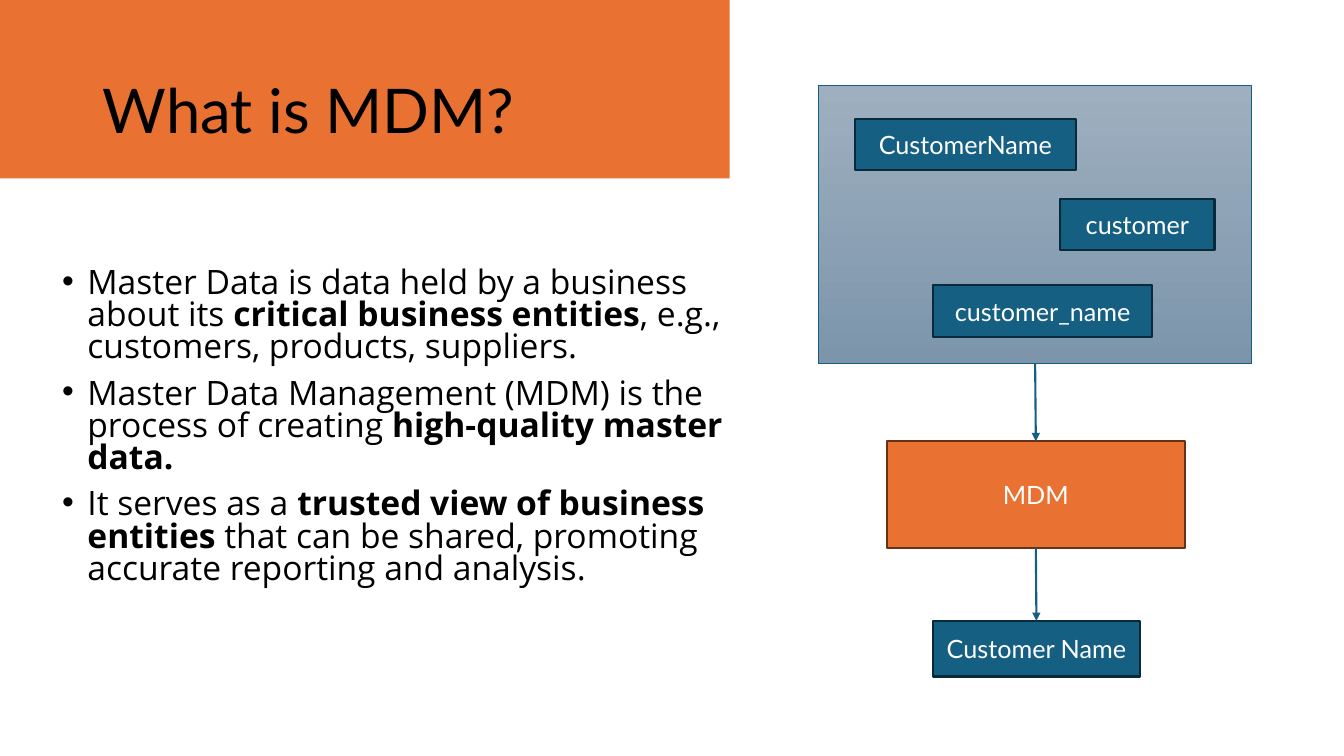
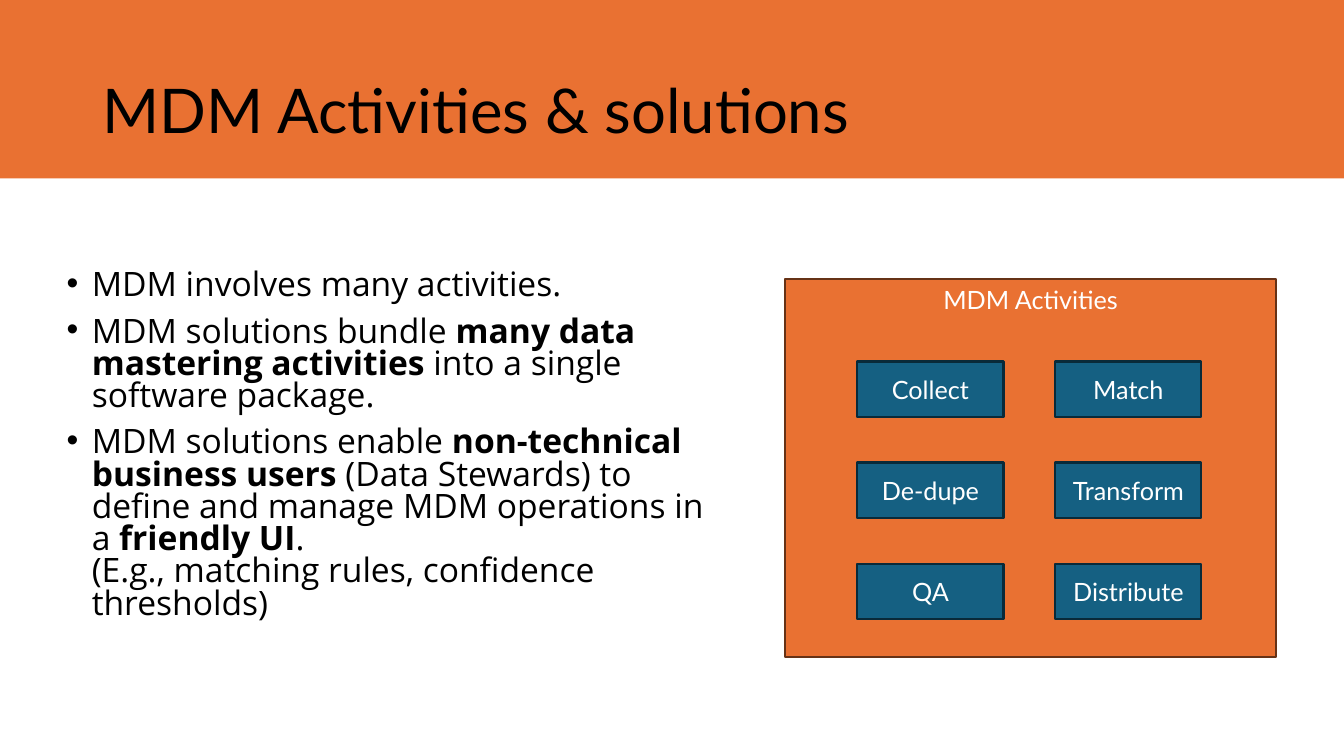
from lxml import etree
from pptx import Presentation
from pptx.dml.color import RGBColor
from pptx.enum.shapes import MSO_CONNECTOR, MSO_SHAPE
from pptx.enum.text import MSO_ANCHOR, PP_ALIGN
from pptx.oxml.ns import qn
from pptx.util import Pt

RECTANGLE = MSO_SHAPE.RECTANGLE
STRAIGHT = MSO_CONNECTOR.STRAIGHT
TOP, MIDDLE = MSO_ANCHOR.TOP, MSO_ANCHOR.MIDDLE
CENTER = PP_ALIGN.CENTER

# Shared style
ORANGE, DARK_ORANGE = "E97132", "663216"
BLUE, DARK_BLUE = "156082", "092A39"
BLACK, WHITE = "000000", "FFFFFF"
PANEL_GRADIENT = ("9EAFBF", "7C95AB")
HEADING_FONT, BODY_FONT = "Lato", "Open Sans"
SLIDE_WIDTH, SLIDE_HEIGHT = 960, 540
BAND_HEIGHT = 127.5
TITLE_BOX = (66.2, 28.8, 828, 104.4)
TOP_SITE, BOTTOM_SITE = 0, 2

# Content: each bullet is a list of (text, bold) runs; "\n" is a line break
DEFINITION = {
    "title": "What is MDM?",
    "band_width": 521.3,
    "body_box": (37.4, 188.2, 512, 332.6),
    "bullets": [
        [("Master Data is data held by a business about its ", False),
         ("critical business entities", True),
         (", e.g., customers, products, suppliers.", False)],
        [("Master Data Management (MDM) is the process of creating ", False),
         ("high-quality master data.", True)],
        [("It serves as a ", False),
         ("trusted view of business entities ", True),
         ("that can be shared, promoting accurate reporting and analysis.", False)],
    ],
}
SOURCE_PANEL = (584.6, 61.2, 309.6, 198.7)
SOURCE_FIELDS = [
    ("CustomerName", (610.6, 85, 158, 36.7)),
    ("customer", (757.4, 142, 110.2, 36.7)),
    ("customer_name", (666.5, 203.8, 156.5, 36.7)),
]
MDM_BOX = (633.6, 315.2, 212.6, 76.3)
RESULT_BOX = (666.5, 443.5, 147.6, 39.8)

ACTIVITIES = {
    "title": "MDM Activities & solutions",
    "band_width": SLIDE_WIDTH,
    "body_box": (40.5, 190, 476, 309),
    "bullets": [
        [("MDM involves many activities.", False)],
        [("MDM solutions bundle ", False),
         ("many data mastering activities", True),
         (" into a single software package.", False)],
        [("MDM solutions enable ", False),
         ("non-technical business users", True),
         (" (Data Stewards) to define and manage MDM operations in a ", False),
         ("friendly UI", True),
         (".", False),
         ("\n", False),
         ("(E.g., matching rules, confidence thresholds)", False)],
    ],
}
ACTIVITY_PANEL = (560.8, 199.6, 350.8, 270)
ACTIVITY_GRID = [("Collect", "Match"), ("De-dupe", "Transform"), ("QA", "Distribute")]
GRID_LEFT, GRID_TOP = 612.4, 258.2
COLUMN_STEP, ROW_STEP = 141.4, 72.2
ACTIVITY_WIDTH, ACTIVITY_HEIGHT = 104.4, 39.8


def color(value):
    return RGBColor.from_string(value)


def points(box):
    return [Pt(length) for length in box]


def add_run(paragraph, text, font, size, ink, bold=False):
    run = paragraph.add_run()
    run.text = text
    run.font.name = font
    run.font.size = Pt(size)
    run.font.bold = bold
    run.font.color.rgb = color(ink)


def add_box(slide, box, fill, line=None, line_width=1.5, text=None, anchor=MIDDLE):
    """Add a rectangle; a pair of colours as fill makes a vertical gradient."""
    shape = slide.shapes.add_shape(RECTANGLE, *points(box))
    shape.shadow.inherit = False
    if isinstance(fill, tuple):
        shape.fill.gradient()
        shape.fill.gradient_angle = 270
        for stop, value in zip(shape.fill.gradient_stops, fill):
            stop.color.rgb = color(value)
    else:
        shape.fill.solid()
        shape.fill.fore_color.rgb = color(fill)
    if line:
        shape.line.color.rgb = color(line)
        shape.line.width = Pt(line_width)
    else:
        shape.line.fill.background()
    if text:
        frame = shape.text_frame
        frame.word_wrap = True
        frame.vertical_anchor = anchor
        paragraph = frame.paragraphs[0]
        paragraph.alignment = CENTER
        add_run(paragraph, text, HEADING_FONT, 18, WHITE)
    return shape


def add_blue_box(slide, text, box):
    return add_box(slide, box, BLUE, DARK_BLUE, text=text)


def add_arrow(slide, upper, lower):
    connector = slide.shapes.add_connector(STRAIGHT, 0, 0, 0, 0)
    connector.begin_connect(upper, BOTTOM_SITE)
    connector.end_connect(lower, TOP_SITE)
    connector.line.color.rgb = color(BLUE)
    connector.line.width = Pt(1.5)
    properties = connector.element.spPr
    etree.SubElement(properties.find(qn("a:ln")), qn("a:tailEnd"), type="triangle")
    etree.SubElement(properties, qn("a:effectLst"))


def add_text_frame(slide, box, anchor):
    frame = slide.shapes.add_textbox(*points(box)).text_frame
    frame.word_wrap = True
    frame.vertical_anchor = anchor
    return frame


def add_bullets(slide, box, bullets):
    frame = add_text_frame(slide, box, TOP)
    for index, runs in enumerate(bullets):
        paragraph = frame.add_paragraph() if index else frame.paragraphs[0]
        paragraph.line_spacing = 0.8
        paragraph.space_before = Pt(10 if index else 0)
        properties = paragraph._p.get_or_add_pPr()
        properties.set("marL", str(Pt(18)))
        properties.set("indent", str(-Pt(18)))
        etree.SubElement(properties, qn("a:buFont"), typeface="Arial")
        etree.SubElement(properties, qn("a:buChar"), char="•")
        for text, bold in runs:
            if text == "\n":
                paragraph.add_line_break()
            else:
                add_run(paragraph, text, BODY_FONT, 24, BLACK, bold)


def add_content_slide(presentation, content):
    """Add a slide with its title band, title and bullets."""
    slide = presentation.slides.add_slide(presentation.slide_layouts[6])
    add_box(slide, (0, 0, content["band_width"], BAND_HEIGHT), ORANGE)
    title = add_text_frame(slide, TITLE_BOX, MIDDLE).paragraphs[0]
    title.line_spacing = 0.9
    add_run(title, content["title"], HEADING_FONT, 44, BLACK)
    add_bullets(slide, content["body_box"], content["bullets"])
    return slide


def build_definition(presentation):
    slide = add_content_slide(presentation, DEFINITION)
    panel = add_box(slide, SOURCE_PANEL, PANEL_GRADIENT, BLUE, 1)
    for name, box in SOURCE_FIELDS:
        add_blue_box(slide, name, box)
    mdm = add_box(slide, MDM_BOX, ORANGE, DARK_ORANGE, text="MDM")
    result = add_blue_box(slide, "Customer Name", RESULT_BOX)
    add_arrow(slide, panel, mdm)
    add_arrow(slide, mdm, result)


def build_activities(presentation):
    slide = add_content_slide(presentation, ACTIVITIES)
    add_box(slide, ACTIVITY_PANEL, ORANGE, DARK_ORANGE,
            text="MDM Activities", anchor=TOP)
    for row, names in enumerate(ACTIVITY_GRID):
        for column, name in enumerate(names):
            left = GRID_LEFT + column * COLUMN_STEP
            top = GRID_TOP + row * ROW_STEP
            add_blue_box(slide, name, (left, top, ACTIVITY_WIDTH, ACTIVITY_HEIGHT))


def main():
    presentation = Presentation()
    presentation.slide_width = Pt(SLIDE_WIDTH)
    presentation.slide_height = Pt(SLIDE_HEIGHT)
    build_definition(presentation)
    build_activities(presentation)
    presentation.save("out.pptx")


if __name__ == "__main__":
    main()
